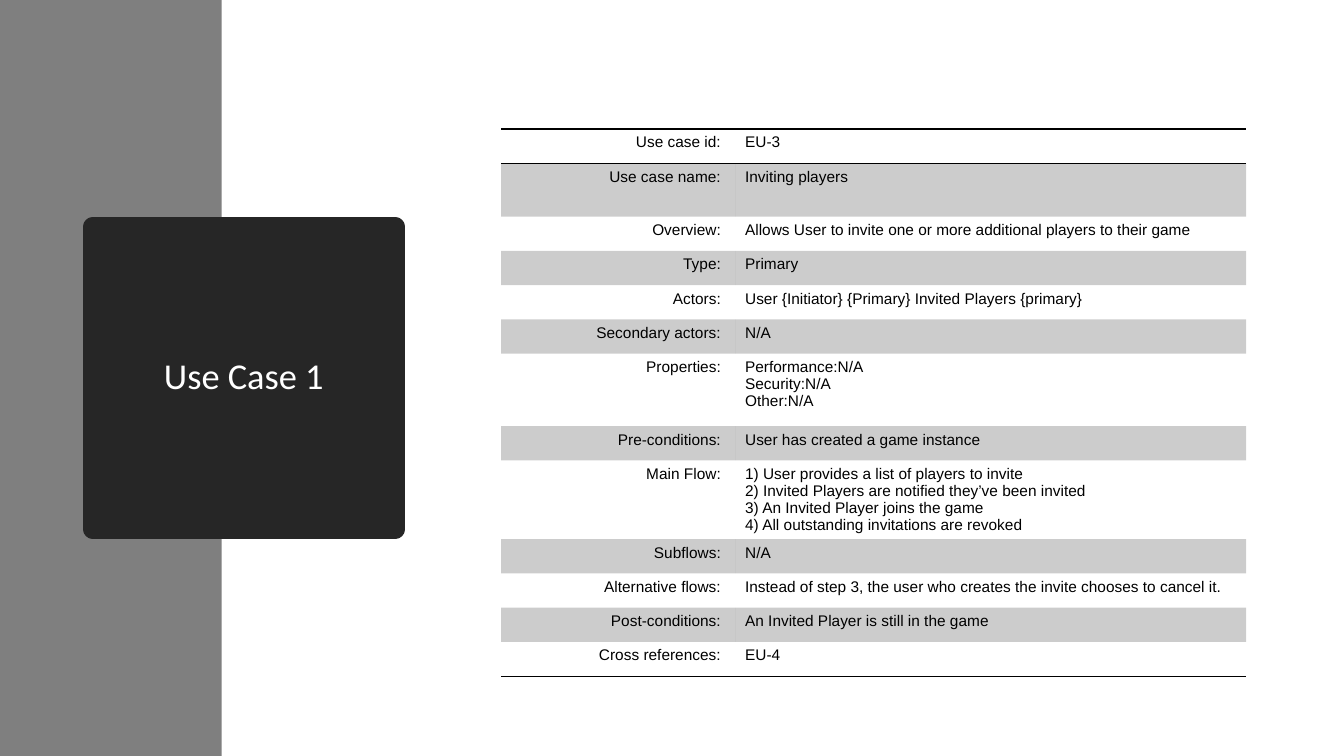
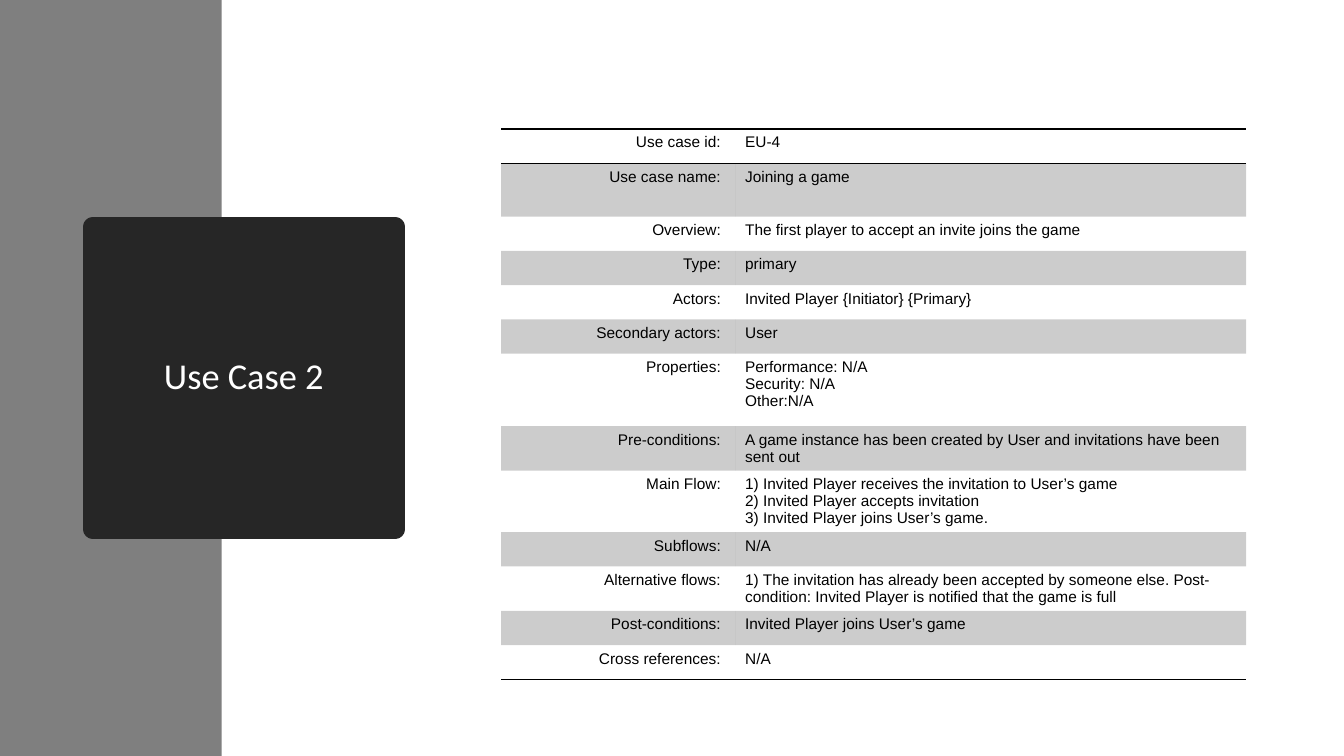
from lxml.etree import SubElement
from pptx import Presentation
from pptx.dml.color import RGBColor
from pptx.enum.shapes import MSO_SHAPE
from pptx.enum.text import MSO_ANCHOR, PP_ALIGN
from pptx.oxml import parse_xml
from pptx.oxml.ns import nsdecls, qn
from pptx.util import Inches, Pt

# Shared look
WHITE = RGBColor(0xFF, 0xFF, 0xFF)
BLACK = RGBColor(0x00, 0x00, 0x00)
GRAY = RGBColor(0x7F, 0x7F, 0x7F)
CHARCOAL = RGBColor(0x26, 0x26, 0x26)
TITLE_FONT, TABLE_FONT = "Calibri", "Arial"
STRIPE_ALPHA = 20
PLAIN_STYLE = "{2D5ABB26-0587-4C30-8999-92F81FD0307C}"

# Boxes: left, top, width, height in inches
SLIDE_WIDTH, SLIDE_HEIGHT = 13.33, 7.5
BAND_BOX = (0, 0, 2.2, SLIDE_HEIGHT)
TITLE_BOX = (0.92, 2.25, 3, 3)
TABLE_BOX = (4.97, 1.28, 7.39, 4.99)
LABEL_SHARE = 0.314
ROW_HEIGHT = 0.34
TALL_ROWS = {"Use case name:": 0.53, "Properties:": 0.72}

LABELS = [
    "Use case id:", "Use case name:", "Overview:", "Type:", "Actors:",
    "Secondary actors:", "Properties:", "Pre-conditions:", "Main Flow:",
    "Subflows:", "Alternative flows:", "Post-conditions:", "Cross references:",
]

# One value per label; several lines are separate paragraphs
USE_CASES = {
    "Use Case 1": [
        "EU-3",
        "Inviting players",
        "Allows User to invite one or more additional players to their game",
        "Primary",
        "User {Initiator} {Primary} Invited Players {primary}",
        "N/A",
        "Performance:N/A\nSecurity:N/A\nOther:N/A",
        "User has created a game instance",
        "1) User provides a list of players to invite\n"
        "2) Invited Players are notified they’ve been invited\n"
        "3) An Invited Player joins the game\n"
        "4) All outstanding invitations are revoked",
        "N/A",
        "Instead of step 3, the user who creates the invite chooses to cancel it.",
        "An Invited Player is still in the game",
        "EU-4",
    ],
    "Use Case 2": [
        "EU-4",
        "Joining a game",
        "The first player to accept an invite joins the game",
        "primary",
        "Invited Player {Initiator} {Primary}",
        "User",
        "Performance: N/A\nSecurity: N/A\nOther:N/A",
        "A game instance has been created by User and invitations have been sent out",
        "1) Invited Player receives the invitation to User’s game\n"
        "2) Invited Player accepts invitation\n"
        "3) Invited Player joins User’s game.",
        "N/A",
        "1) The invitation has already been accepted by someone else. "
        "Post-condition: Invited Player is notified that the game is full",
        "Invited Player joins User’s game",
        "N/A",
    ],
}


def style_font(para, name, size, color):
    para.font.name = name
    para.font.size = Pt(size)
    para.font.color.rgb = color


def add_band(page, box):
    band = page.shapes.add_shape(MSO_SHAPE.RECTANGLE, *map(Inches, box))
    band.shadow.inherit = False
    band.fill.solid()
    band.fill.fore_color.rgb = GRAY
    band.line.fill.background()
    # Send the band behind the title
    page.shapes.title.element.addprevious(band.element)


def format_title(page, box, text):
    title = page.shapes.title
    title.left, title.top, title.width, title.height = map(Inches, box)
    title.fill.solid()
    title.fill.fore_color.rgb = CHARCOAL
    title.line.color.rgb = CHARCOAL
    title.line.width = Pt(13.75)
    # Round corners come from the join of the thick outline
    SubElement(title.element.spPr.find(qn("a:ln")), qn("a:round"))
    frame = title.text_frame
    frame.text = text
    frame.word_wrap = True
    frame.vertical_anchor = MSO_ANCHOR.MIDDLE
    para = frame.paragraphs[0]
    para.alignment = PP_ALIGN.CENTER
    para.line_spacing = 0.9
    style_font(para, TITLE_FONT, 26, WHITE)


def add_rule(cell, side):
    """Draw a 1 pt black border; side is T or B."""
    rule = parse_xml(
        f'<a:ln{side} {nsdecls("a")} w="{Pt(1)}"><a:solidFill>'
        f'<a:srgbClr val="{BLACK}"/></a:solidFill></a:ln{side}>'
    )
    cell._tc.get_or_add_tcPr().insert(0, rule)


def fill_cell(cell, text, striped, alignment):
    cell.text = text
    for para in cell.text_frame.paragraphs:
        para.alignment = alignment
        style_font(para, TABLE_FONT, 11, BLACK)
    if striped:
        cell.fill.solid()
        cell.fill.fore_color.rgb = BLACK
        color = cell._tc.tcPr.find(f'{qn("a:solidFill")}/{qn("a:srgbClr")}')
        SubElement(color, qn("a:alpha"), val=str(STRIPE_ALPHA * 1000))
    else:
        cell.fill.background()


def add_use_case_table(page, box, values):
    frame = page.shapes.add_table(len(LABELS), 2, *map(Inches, box))
    table = frame.table
    table.first_row = table.horz_banding = False
    table._tbl.tblPr.find(qn("a:tableStyleId")).text = PLAIN_STYLE
    for column, share in zip(table.columns, (LABEL_SHARE, 1 - LABEL_SHARE)):
        column.width = Inches(box[2] * share)

    last = len(LABELS) - 1
    for index, (label, value) in enumerate(zip(LABELS, values)):
        row = table.rows[index]
        row.height = Inches(TALL_ROWS.get(label, ROW_HEIGHT))
        label_cell, value_cell = row.cells
        striped = index % 2 == 1
        fill_cell(label_cell, label, striped, PP_ALIGN.RIGHT)
        fill_cell(value_cell, value, striped, PP_ALIGN.LEFT)
        label_cell.margin_right = Inches(0.14)
        # Rules above and below the first row, and below the last
        for cell in (label_cell, value_cell):
            if index in (0, last):
                add_rule(cell, "B")
            if index == 0:
                add_rule(cell, "T")


def add_use_case_slide(deck, name, values):
    page = deck.slides.add_slide(deck.slide_layouts[5])
    add_band(page, BAND_BOX)
    format_title(page, TITLE_BOX, name)
    add_use_case_table(page, TABLE_BOX, values)


def main():
    deck = Presentation()
    deck.slide_width = Inches(SLIDE_WIDTH)
    deck.slide_height = Inches(SLIDE_HEIGHT)
    for name, values in USE_CASES.items():
        add_use_case_slide(deck, name, values)
    deck.save("out.pptx")


if __name__ == "__main__":
    main()
